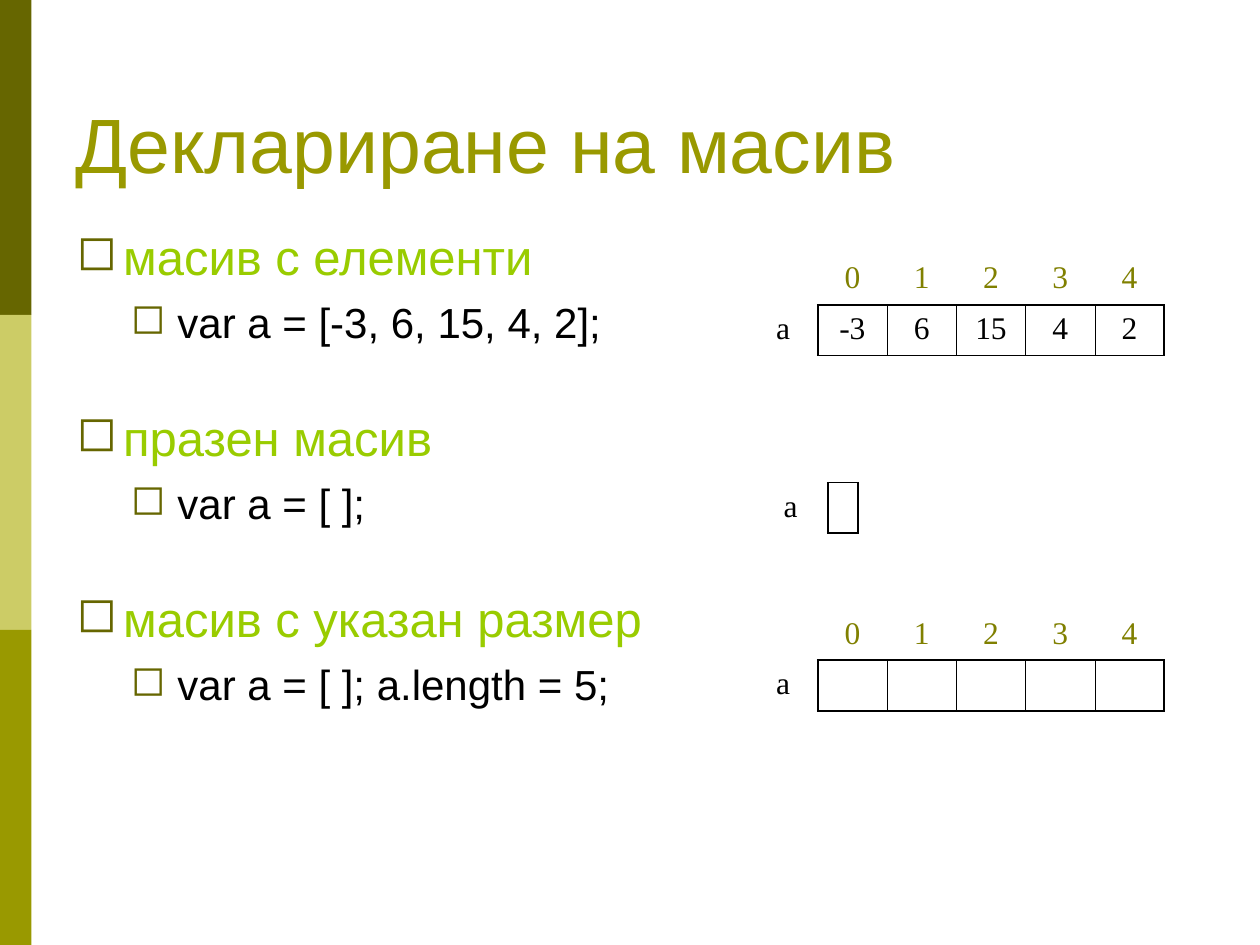
import pptx
import pptx.dml.color
import pptx.enum.shapes
import pptx.enum.text
import pptx.oxml.ns
import pptx.util
from lxml import etree

TITLE = "Деклариране на масив"
DECLARATIONS = [
    ("масив с елементи", "var a = [-3, 6, 15, 4, 2];"),
    ("празен масив", "var a = [ ];"),
    ("масив с указан размер", "var a = [ ]; a.length = 5;"),
]
INDEXES = ["0", "1", "2", "3", "4"]
ARRAYS = [
    {"left": 0.594, "label": 0.055, "cell": 0.055,
     "rows": [["", *INDEXES], ["а", "-3", "6", "15", "4", "2"]]},
    {"left": 0.598, "label": 0.059, "cell": 0.024,
     "rows": [["", ""], ["а", ""]]},
    {"left": 0.594, "label": 0.055, "cell": 0.055,
     "rows": [["", *INDEXES], ["а", "", "", "", "", ""]]},
]
THEME = {
    "sidebar": ["666600", "CCCC66", "999900"],
    "title": ("Arial", 44, "999900"),
    "heading": ("Arial", 28, "99CC00"),
    "code": ("Arial", 24, "000000"),
    "index": ("Times New Roman", 18, "808000"),
    "value": ("Times New Roman", 18, "000000"),
    "bullet": "666600",
    "line": "000000",
    "outer": 1.08,
    "inner": 0.45,
}
LEVELS = {"heading": (0, 0.38, 7), "code": (1, 0.81, 6)}
HANGING = 0.37
GROUP_GAP = 28
FIRST_ARRAY, ARRAY_STEP, ROW_HEIGHT = 2.02, 1.41, 0.4
PLAIN_TABLE = "{2D5ABB26-0587-4C30-8999-92F81FD0307C}"

deck = pptx.Presentation()
deck.slide_width = pptx.util.Inches(10)
deck.slide_height = pptx.util.Inches(7.5)
WIDTH, HEIGHT = deck.slide_width, deck.slide_height
page = deck.slides.add_slide(deck.slide_layouts[6])


def color(name):
    return pptx.dml.color.RGBColor.from_string(name)


def add_element(parent, tag, **attributes):
    return etree.SubElement(parent, pptx.oxml.ns.qn(tag), **attributes)


def style(para, role):
    name, size, tint = THEME[role]
    for span in para.runs:
        span.font.name = name
        span.font.size = pptx.util.Pt(size)
        span.font.color.rgb = color(tint)


def add_box(top, height):
    box = page.shapes.add_textbox(
        int(WIDTH * 0.05), pptx.util.Inches(top), int(WIDTH * 0.9), pptx.util.Inches(height))
    box.text_frame.word_wrap = True
    return box.text_frame


def add_bullet(para, indent):
    properties = para._p.get_or_add_pPr()
    properties.set("marL", str(pptx.util.Inches(indent)))
    properties.set("indent", str(-pptx.util.Inches(HANGING)))
    add_element(add_element(properties, "a:buClr"), "a:srgbClr", val=THEME["bullet"])
    add_element(properties, "a:buChar", char="◻")


def draw_sidebar():
    band = HEIGHT // len(THEME["sidebar"])
    for order, tint in enumerate(THEME["sidebar"]):
        shape = page.shapes.add_shape(
            pptx.enum.shapes.MSO_SHAPE.RECTANGLE, 0, order * band, int(WIDTH * 0.025), band)
        shape.shadow.inherit = False
        shape.fill.solid()
        shape.fill.fore_color.rgb = color(tint)
        shape.line.fill.background()


def draw_title():
    frame = add_box(0.3, 1.25)
    frame.vertical_anchor = pptx.enum.text.MSO_ANCHOR.BOTTOM
    frame.text = TITLE
    style(frame.paragraphs[0], "title")


def draw_declarations():
    frame = add_box(1.75, 4.95)
    frame.text = "\n".join(line for pair in DECLARATIONS for line in pair)
    for order, para in enumerate(frame.paragraphs):
        role = "code" if order % 2 else "heading"
        level, indent, space = LEVELS[role]
        para.level = level
        add_bullet(para, indent)
        if order:
            para.space_before = pptx.util.Pt(space + (GROUP_GAP if role == "heading" else 0))
        style(para, role)


def draw_borders(cell, row, column, columns):
    def boxed(r, c):
        return r == 1 and 1 <= c < columns

    sides = {"a:lnL": (0, -1), "a:lnR": (0, 1), "a:lnT": (-1, 0), "a:lnB": (1, 0)}
    properties = cell._tc.get_or_add_tcPr()
    for order, (tag, (down, across)) in enumerate(sides.items()):
        pair = [boxed(row, column), boxed(row + down, column + across)]
        if any(pair):
            width = THEME["inner"] if all(pair) else THEME["outer"]
            line = etree.Element(pptx.oxml.ns.qn(tag), w=str(pptx.util.Pt(width)))
            fill = add_element(line, "a:solidFill")
            add_element(fill, "a:srgbClr", val=THEME["line"])
        else:
            line = etree.Element(pptx.oxml.ns.qn(tag), w="0")
            add_element(line, "a:noFill")
        properties.insert(order, line)


def draw_array(array, top):
    rows = array["rows"]
    columns = len(rows[0])
    widths = [int(WIDTH * array["label"])] + [int(WIDTH * array["cell"])] * (columns - 1)
    height = pptx.util.Inches(ROW_HEIGHT)
    table = page.shapes.add_table(
        len(rows), columns, int(WIDTH * array["left"]), pptx.util.Inches(top),
        sum(widths), height * len(rows)).table
    table.first_row = table.horz_banding = False
    table._tbl.tblPr.find(pptx.oxml.ns.qn("a:tableStyleId")).text = PLAIN_TABLE
    for column, width in enumerate(widths):
        table.columns[column].width = width
    for row, texts in enumerate(rows):
        table.rows[row].height = height
        for column, text in enumerate(texts):
            cell = table.cell(row, column)
            cell.fill.background()
            cell.text = text
            para = cell.text_frame.paragraphs[0]
            para.alignment = pptx.enum.text.PP_ALIGN.CENTER
            style(para, "value" if row else "index")
            draw_borders(cell, row, column, columns)


draw_sidebar()
draw_title()
draw_declarations()
for order, array in enumerate(ARRAYS):
    draw_array(array, FIRST_ARRAY + order * ARRAY_STEP)
deck.save("out.pptx")
